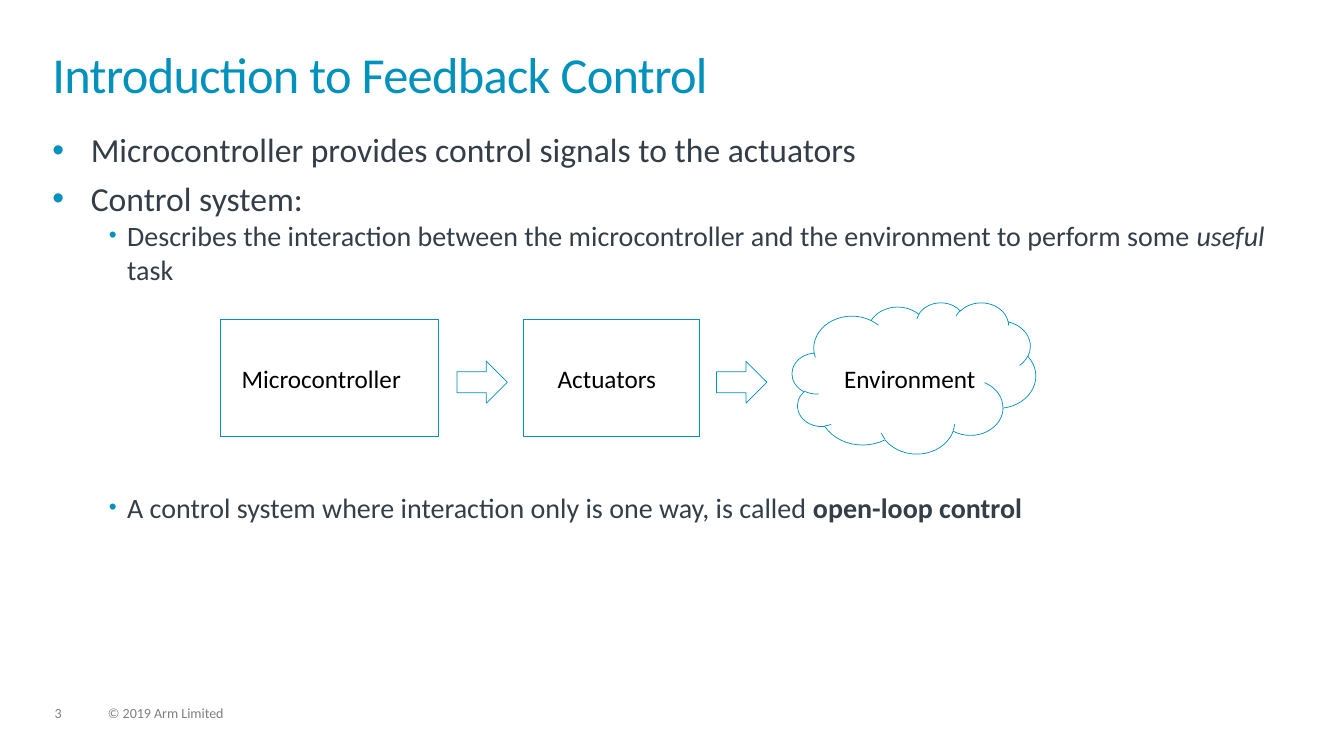
import pptx
import pptx.dml.color
import pptx.enum.shapes
import pptx.enum.text
import pptx.util
from lxml import etree

SHAPE = pptx.enum.shapes.MSO_SHAPE
ALIGN = pptx.enum.text.PP_ALIGN
ANCHOR = pptx.enum.text.MSO_ANCHOR
COLUMNS, ROWS = 160, 90
BLUE, SLATE, GREY, BLACK, WHITE = "0091BD", "333E48", "7F7F7F", "000000", "FFFFFF"


def rgb(value):
    return pptx.dml.color.RGBColor.from_string(value)


def sub(parent, tag, **attrs):
    return etree.SubElement(parent, pptx.oxml.ns.qn(tag), attrs)


class Deck:
    """Holds the style and current slide; lengths are grid columns and rows."""

    font = "Calibri"
    accent = BLUE
    line_width = pptx.util.Pt(0.5)

    def __init__(self):
        self.prs = pptx.Presentation()
        self.prs.slide_width = pptx.util.Inches(13.33)
        self.prs.slide_height = pptx.util.Inches(7.5)
        self.slide = self.prs.slides.add_slide(self.prs.slide_layouts[6])

    def place(self, col, row, cols, rows):
        x = self.prs.slide_width / COLUMNS
        y = self.prs.slide_height / ROWS
        return [round(n) for n in (col * x, row * y, cols * x, rows * y)]

    def run(self, p, text, size, color, **formats):
        r = p.add_run()
        r.text = text
        values = {"name": self.font, "size": pptx.util.Pt(size), **formats}
        for name, value in values.items():
            setattr(r.font, name, value)
        r.font.color.rgb = rgb(color)
        return r

    def frame(self, s, anchor=ANCHOR.TOP):
        tf = s.text_frame
        values = {"margin_left": 0, "margin_top": 0, "margin_right": 0,
                  "margin_bottom": 0, "word_wrap": True, "vertical_anchor": anchor}
        for name, value in values.items():
            setattr(tf, name, value)
        return tf

    def box(self, *area):
        return self.frame(self.slide.shapes.add_textbox(*self.place(*area)))

    def line(self, text, area, size, color, spacing, tracking=0):
        p = self.box(*area).paragraphs[0]
        p.line_spacing = spacing
        r = self.run(p, text, size, color)
        if tracking:
            r.font._element.set("spc", str(round(tracking * 100)))

    def bullets(self, area, items):
        """Each item is level, space before in points, and (text, formats) runs."""
        tf = self.box(*area)
        for i, (level, before, runs) in enumerate(items):
            p = tf.add_paragraph() if i else tf.paragraphs[0]
            size, left, hang, scale = ((24, 0.38, 0.38, 100), (20, 0.74, 0.18, 80))[level]
            p.level = level
            p.space_before = pptx.util.Pt(before)
            pPr = p._p.get_or_add_pPr()
            pPr.set("marL", str(pptx.util.Inches(left)))
            pPr.set("indent", str(-pptx.util.Inches(hang)))
            sub(sub(pPr, "a:buClr"), "a:srgbClr", val=self.accent)
            sub(pPr, "a:buSzPct", val=str(scale * 1000))
            sub(pPr, "a:buFont", typeface="Arial")
            sub(pPr, "a:buChar", char="•")
            for text, formats in runs:
                self.run(p, text, size, SLATE, **formats)

    def outline(self, kind, *area):
        s = self.slide.shapes.add_shape(kind, *self.place(*area))
        s.shadow.inherit = False
        s.fill.background()
        s.line.color.rgb = rgb(self.accent)
        s.line.width = self.line_width
        return s

    def label(self, text, *area, fill=None):
        s = self.slide.shapes.add_textbox(*self.place(*area))
        if fill:
            s.fill.solid()
            s.fill.fore_color.rgb = rgb(fill)
        p = self.frame(s, ANCHOR.MIDDLE).paragraphs[0]
        p.alignment = ALIGN.CENTER
        self.run(p, text, 18, BLACK)


def main():
    deck = Deck()
    deck.line("3", (6.5, 84.1, 4, 1.8), 10, GREY, 0.9)
    deck.line("© 2019 Arm Limited", (12.85, 84.1, 20.5, 1.8), 10, GREY, 0.9)
    deck.line("Introduction to Feedback Control", (6.25, 6.25, 147.4, 8.6),
              36, BLUE, 0.85, tracking=-0.5)

    diagram_gap = 146
    deck.bullets((6.25, 15.4, 147.4, 53.6), [
        (0, 0, [("Microcontroller provides control signals to the actuators", {})]),
        (0, 6, [("Control system:", {})]),
        (1, 0, [("Describes the interaction between the microcontroller and the "
                 "environment to perform some ", {}),
                ("useful", {"italic": True}), (" task", {})]),
        (1, diagram_gap, [("A control system where interaction only is one way, "
                           "is called ", {}),
                          ("open-loop control", {"bold": True})]),
    ])

    for text, col, cols, label_col in (("Microcontroller", 26.25, 26, 28.25),
                                       ("Actuators", 62.25, 21, 62.25)):
        deck.outline(SHAPE.RECTANGLE, col, 38, cols, 14)
        deck.label(text, label_col, 38, 20, 14)
    for col in (54.4, 85.3):
        deck.outline(SHAPE.RIGHT_ARROW, col, 43, 6, 5)
    deck.outline(SHAPE.CLOUD, 94.3, 36, 29, 18)
    deck.label("Environment", 100.3, 42, 16, 6, fill=WHITE)

    deck.prs.save("out.pptx")


if __name__ == "__main__":
    main()
